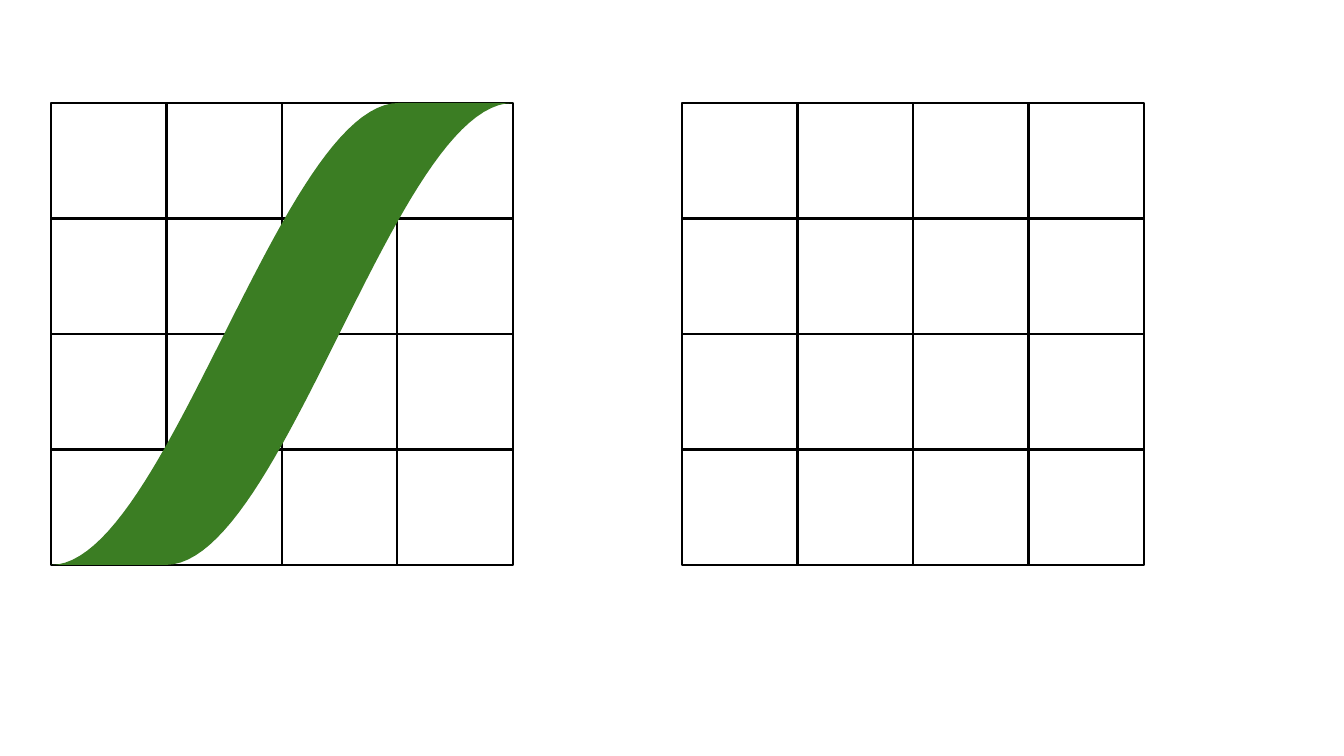
from itertools import product

from pptx import Presentation
from pptx.dml.color import RGBColor
from pptx.enum.shapes import MSO_SHAPE
from pptx.util import Pt

EMU_PER_PX = 914400 / 100.8
COLOURS = {"grid": "000000", "band": "3B7D23"}

GRID_TOP, GRID_SIDE, GRID_CELLS = 103, 462, 4
GRID_LEFTS = (51, 682)
CURVE_STEPS = 48

# Each edge of the band: start, two control points, end
RISING_EDGE = ((51, 565), (166, 565), (282, 103), (399, 103))
FALLING_EDGE = ((513, 103), (396, 103), (283, 564), (166, 565))


def px(length):
    return round(length * EMU_PER_PX)


def colour(name):
    return RGBColor.from_string(COLOURS[name])


def add_grid(page, left):
    """Add a group of equal outlined squares."""
    group = page.shapes.add_group_shape()
    cell = GRID_SIDE / GRID_CELLS
    for column, row in product(range(GRID_CELLS), repeat=2):
        square = group.shapes.add_shape(
            MSO_SHAPE.RECTANGLE,
            px(left + column * cell), px(GRID_TOP + row * cell),
            px(cell), px(cell))
        square.shadow.inherit = False
        square.fill.background()
        square.line.color.rgb = colour("grid")
        square.line.width = Pt(1.5)


def curve_points(controls):
    """Return points along a cubic Bézier curve, in EMU."""
    points = []
    for step in range(CURVE_STEPS + 1):
        t = step / CURVE_STEPS
        weights = ((1 - t) ** 3, 3 * t * (1 - t) ** 2,
                   3 * t ** 2 * (1 - t), t ** 3)
        points.append(tuple(
            px(sum(weight * value for weight, value in zip(weights, axis)))
            for axis in zip(*controls)))
    return points


def add_band(page):
    """Add the filled S-shaped band between its two edges."""
    start, *others = curve_points(RISING_EDGE) + curve_points(FALLING_EDGE)
    builder = page.shapes.build_freeform(*start)
    builder.add_line_segments(others, close=True)
    band = builder.convert_to_shape()
    band.shadow.inherit = False
    band.fill.solid()
    band.fill.fore_color.rgb = colour("band")
    band.line.fill.background()


def main():
    deck = Presentation()
    deck.slide_width, deck.slide_height = px(1344), px(756)
    page = deck.slides.add_slide(deck.slide_layouts[6])

    # Left grid with the band on top, then the empty right grid
    left_grid, right_grid = GRID_LEFTS
    add_grid(page, left_grid)
    add_band(page)
    add_grid(page, right_grid)

    deck.save("out.pptx")


if __name__ == "__main__":
    main()
